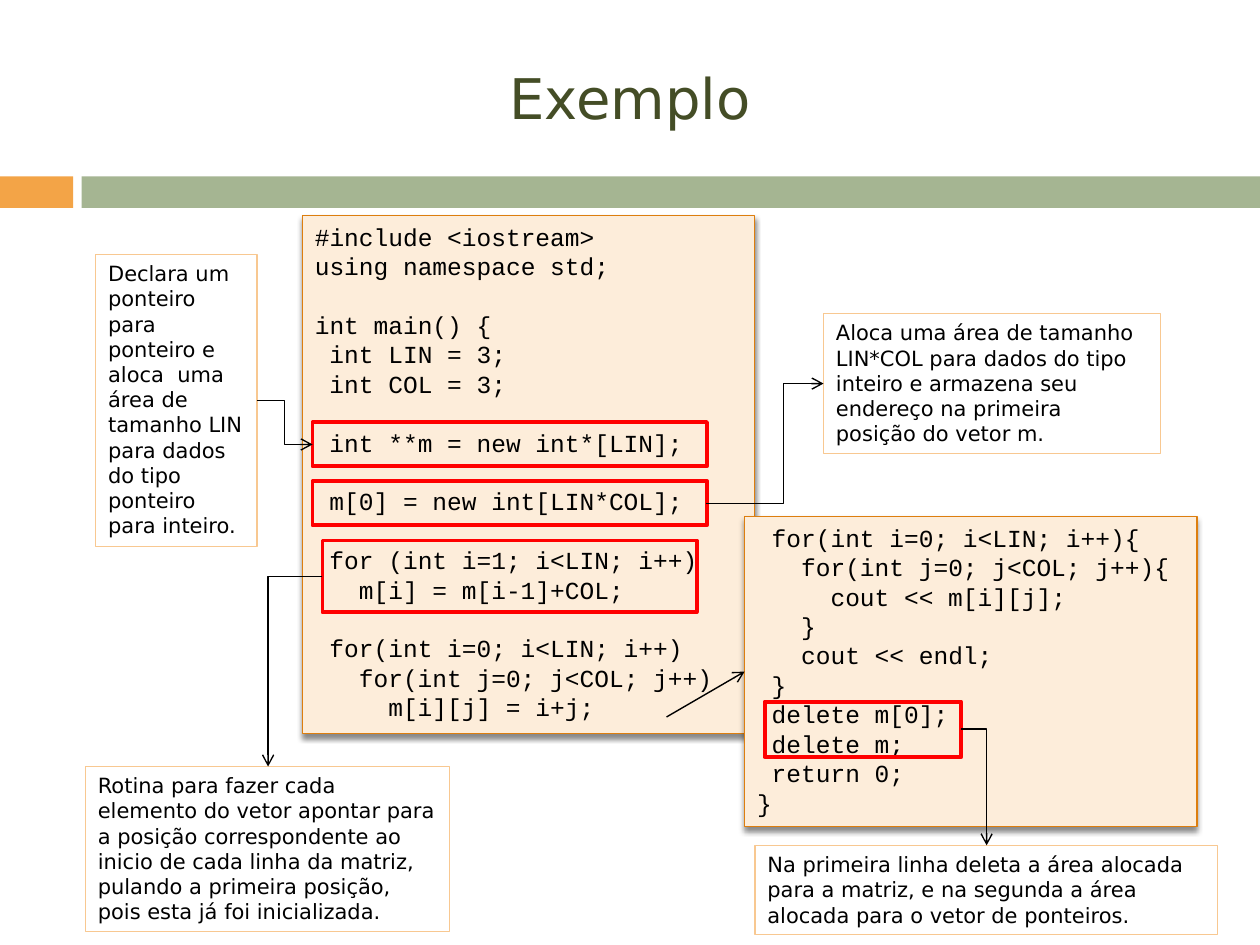
from lxml import etree
from pptx import Presentation
from pptx.dml.color import RGBColor
from pptx.enum import shapes, text
from pptx.oxml import ns
from pptx.util import Pt

COLOURS = {
    "orange": "F3A447", "green": "A5B592", "title": "444D26",
    "panel": "FDEDDA", "panel_edge": "DD7E0E", "note_edge": "F8C891",
    "mark": "FF0000", "ink": "000000",
}
CODE_SIZE, CODE_STEP, CODE_LINE = 14, 8.4, 16.8

SETUP_CODE = """#include <iostream>
using namespace std;

int main() {
 int LIN = 3;
 int COL = 3;

 int **m = new int*[LIN];

 m[0] = new int[LIN*COL];

 for (int i=1; i<LIN; i++)
   m[i] = m[i-1]+COL;

 for(int i=0; i<LIN; i++)
   for(int j=0; j<COL; j++)
     m[i][j] = i+j;"""

PRINT_CODE = """ for(int i=0; i<LIN; i++){
   for(int j=0; j<COL; j++){
     cout << m[i][j];
   }
   cout << endl;
 }
 delete m[0];
 delete m;
 return 0;
}"""

NOTES = [
    ((54.7, 145.4, 92.2, 167), "Declara um ponteiro para ponteiro e aloca  uma área de "
     "tamanho LIN para dados do tipo ponteiro para inteiro."),
    ((470.6, 179.3, 192.5, 79.9), "Aloca uma área de tamanho LIN*COL para dados do tipo "
     "inteiro e armazena seu endereço na primeira posição do vetor m."),
    ((48.8, 438, 208.1, 94.3), "Rotina para fazer cada elemento do vetor apontar para a "
     "posição correspondente ao inicio de cada linha da matriz, pulando a primeira "
     "posição, pois esta já foi inicializada."),
    ((431.4, 483.1, 264.4, 51.1), "Na primeira linha deleta a área alocada  para a matriz, "
     "e na segunda a área alocada para o vetor de ponteiros."),
]

ARROWS = [
    ((549.4, 416.7), (563.8, 483.1), "bentConnector2", None),
    ((380.9, 409.7), (425.5, 383.8), "line", None),
    ((184.3, 329.3), (153.2, 438), "bentConnector2", None),
    ((403.6, 287.6), (470.6, 219.2), "bentConnector3", 65900),
    ((146.6, 229), (178.6, 254), "bentConnector3", 50000),
]


def rgb(name):
    return RGBColor.from_string(COLOURS[name])


def add_box(slide, box, fill=None, edge=None, width=0.75):
    shape = slide.shapes.add_shape(shapes.MSO_SHAPE.RECTANGLE, *map(Pt, box))
    shape.shadow.inherit = False
    if fill:
        shape.fill.solid()
        shape.fill.fore_color.rgb = rgb(fill)
    else:
        shape.fill.background()
    if edge:
        shape.line.color.rgb = rgb(edge)
        shape.line.width = Pt(width)
    else:
        shape.line.fill.background()
    return shape


def write(frame, content, font="DejaVu Sans", size=12, colour="ink",
          align=text.PP_ALIGN.LEFT, anchor=text.MSO_ANCHOR.TOP, step=0, gap=0):
    frame.word_wrap = True
    frame.vertical_anchor = anchor
    paragraph, blanks = None, 0
    for row in content.split("\n"):
        if not row:
            blanks += 1
            continue
        paragraph = frame.add_paragraph() if paragraph else frame.paragraphs[0]
        paragraph.alignment = align
        if blanks:
            paragraph.space_before = Pt(gap * blanks)
            blanks = 0
        words = row.lstrip()
        indent = (len(row) - len(words)) * step
        if indent:
            paragraph._p.get_or_add_pPr().set("marL", str(int(Pt(indent))))
        run = paragraph.add_run()
        run.text = words
        run.font.name = font
        run.font.size = Pt(size)
        run.font.color.rgb = rgb(colour)


def cast_shadow(shape):
    effects = shape._element.spPr.find(ns.qn("a:effectLst"))
    shadow = etree.SubElement(effects, ns.qn("a:outerShdw"), blurRad=str(Pt(3)),
                              dist=str(int(Pt(2.4))), dir="5400000", rotWithShape="0")
    colour = etree.SubElement(shadow, ns.qn("a:srgbClr"), val=COLOURS["ink"])
    etree.SubElement(colour, ns.qn("a:alpha"), val="45000")


def header(slide, box):
    left, top, width, height = box
    add_box(slide, (left, top + 100.8, 41.8, 18), "orange")
    add_box(slide, (left + 46.6, top + 100.8, width - 46.6, 18), "green")
    title = slide.shapes.add_textbox(*map(Pt, (left + 18, top + 30.2, width - 36, 50.4)))
    write(title.text_frame, "Exemplo", size=32, colour="title",
          align=text.PP_ALIGN.CENTER, anchor=text.MSO_ANCHOR.MIDDLE)


def code_panel(slide, box, code):
    panel = add_box(slide, box, "panel", "panel_edge", 0.79)
    cast_shadow(panel)
    write(panel.text_frame, code, font="Courier New", size=CODE_SIZE,
          step=CODE_STEP, gap=CODE_LINE)


def highlights(slide, box, marks):
    left, top = box[:2]
    for x, y, width, height in marks:
        add_box(slide, (left + x, top + y, width, height), edge="mark", width=2.25)


def note(slide, box, content):
    write(add_box(slide, box, edge="note_edge").text_frame, content)


def arrow(slide, start, end, route, bend):
    kind = shapes.MSO_CONNECTOR.STRAIGHT if route == "line" else shapes.MSO_CONNECTOR.ELBOW
    link = slide.shapes.add_connector(kind, *map(Pt, start + end))
    link.line.color.rgb = rgb("ink")
    link.line.width = Pt(0.79)
    properties = link._element.spPr
    etree.SubElement(properties.find(ns.qn("a:ln")), ns.qn("a:tailEnd"), type="arrow")
    etree.SubElement(properties, ns.qn("a:effectLst"))
    geometry = properties.find(ns.qn("a:prstGeom"))
    geometry.set("prst", route)
    if bend:
        etree.SubElement(geometry.find(ns.qn("a:avLst")), ns.qn("a:gd"),
                         name="adj1", fmla=f"val {bend}")


def example_slide(deck):
    slide = deck.slides.add_slide(deck.slide_layouts[6])
    setup, printing = (172.8, 123.1, 258.5, 295.9), (425.5, 295.2, 258.5, 177.1)
    header(slide, (0, 0, 720, 118.8))
    code_panel(slide, setup, SETUP_CODE)
    code_panel(slide, printing, PRINT_CODE)
    for box, content in NOTES:
        note(slide, box, content)
    highlights(slide, setup, [(5.8, 118.1, 225.4, 25.2), (5.8, 151.9, 225.4, 25.2),
                              (11.5, 185.8, 213.8, 41)])
    highlights(slide, printing, [(11.5, 105.8, 112.3, 31.7)])
    for start, end, route, bend in ARROWS:
        arrow(slide, start, end, route, bend)


deck = Presentation()
deck.slide_width, deck.slide_height = Pt(720), Pt(540)
example_slide(deck)
deck.save("out.pptx")
